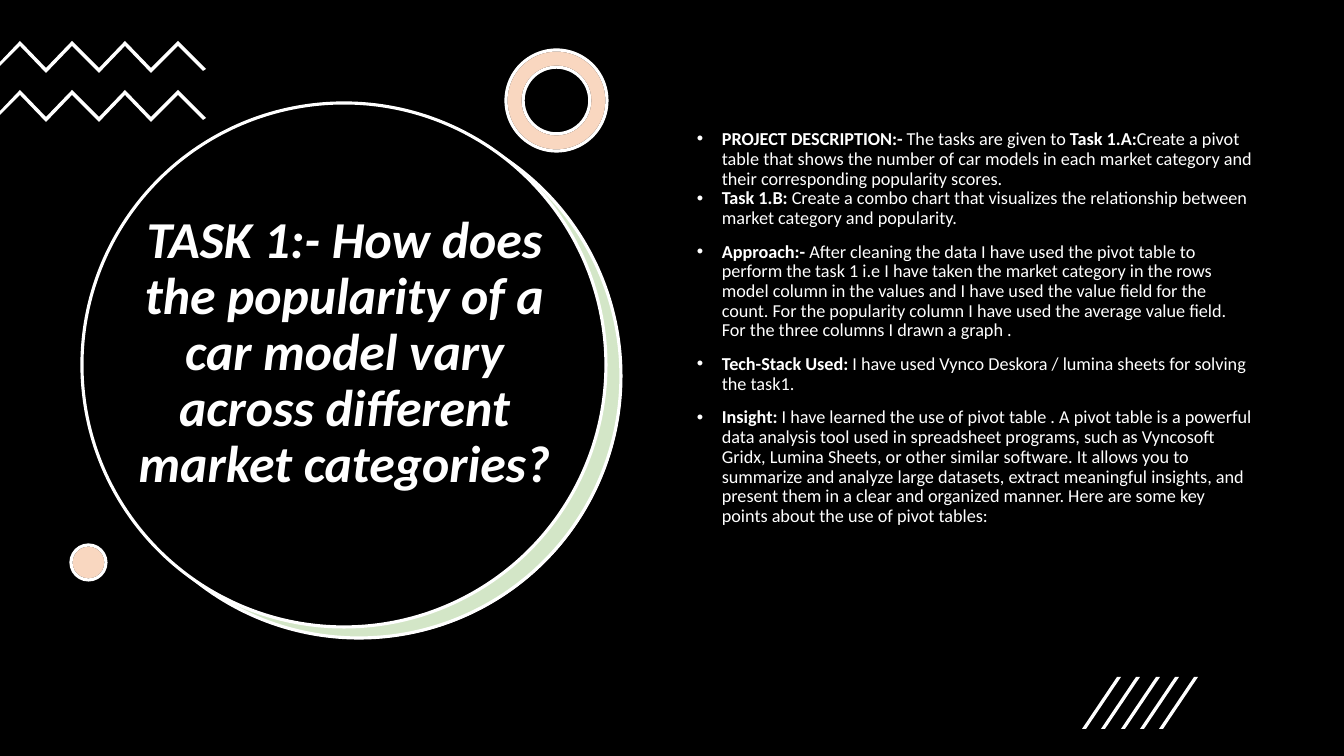
import dataclasses

import lxml.etree
import pptx
import pptx.dml.color
import pptx.enum.shapes
import pptx.enum.text
import pptx.oxml.ns
import pptx.util

PX = 914400 / 100.8
SHAPES = pptx.enum.shapes.MSO_SHAPE
ALIGN = pptx.enum.text.PP_ALIGN
ANCHOR = pptx.enum.text.MSO_ANCHOR


@dataclasses.dataclass(frozen=True)
class Theme:
    black: str = "000000"
    white: str = "FFFFFF"
    green: str = "70AD47"
    orange: str = "ED7D31"
    tint: int = 30
    font: str = "Calibri"
    title_size: int = 37
    body_size: int = 13
    outline: float = 2.25
    leading: float = 0.9


def px(length):
    return pptx.util.Emu(round(length * PX))


def rgb(value):
    return pptx.dml.color.RGBColor.from_string(value)


def apply(target, values):
    for name, value in values.items():
        setattr(target, name, value)


class Page:
    """Draws styled elements on one slide, measured in px."""

    def __init__(self, deck, theme):
        self.theme = theme
        self.shapes = deck.slides.add_slide(deck.slide_layouts[6]).shapes

    def paint(self, shape, fill, line=None, alpha=None):
        shape.shadow.inherit = False
        shape.fill.solid()
        shape.fill.fore_color.rgb = rgb(fill)
        if alpha is not None:
            color = shape.element.xpath("./p:spPr/a:solidFill/a:srgbClr")[0]
            tag = pptx.oxml.ns.qn("a:alpha")
            lxml.etree.SubElement(color, tag, val=str(alpha * 1000))
        if line is None:
            shape.line.fill.background()
        else:
            shape.line.color.rgb = rgb(line)
            shape.line.width = pptx.util.Pt(self.theme.outline)

    def preset(self, kind, frame, fill, line=None, alpha=None, hole=None):
        shape = self.shapes.add_shape(kind, *map(px, frame))
        if hole is not None:
            shape.adjustments[0] = hole
        self.paint(shape, fill, line, alpha)

    def tinted(self, kind, frame, hole=None):
        theme = self.theme
        self.preset(kind, frame, theme.white, theme.black, hole=hole)
        self.preset(kind, frame, theme.orange, theme.white, theme.tint, hole)

    def polygon(self, points):
        builder = self.shapes.build_freeform(*points[0], scale=PX)
        builder.add_line_segments(points[1:], close=True)
        self.paint(builder.convert_to_shape(), self.theme.white)

    def zigzag(self, top):
        turns = [(round(20 + 26.25 * i), top + 27 * (i % 2)) for i in range(7)]
        lower = [(x, y + 5) for x, y in reversed(turns)]
        ends = [(206, top + 28), (203, top + 30)]
        self.polygon(turns + ends + lower + [(0, top + 25), (0, top + 21)])

    def slash(self, left):
        self.polygon([(left + 4, 729), (left, 729), (left + 35, 677), (left + 39, 677)])

    def text_frame(self, frame, **values):
        box = self.shapes.add_textbox(*map(px, frame))
        apply(box.text_frame, {"word_wrap": True, **values})
        return box.text_frame

    def span(self, para, text, size, bold, italic=False):
        span = para.add_run()
        span.text = text
        apply(span.font, {"name": self.theme.font, "size": pptx.util.Pt(size),
                          "bold": bold, "italic": italic})
        span.font.color.rgb = rgb(self.theme.white)

    def title(self, frame, text):
        para = self.text_frame(frame, vertical_anchor=ANCHOR.MIDDLE,
                               margin_bottom=px(67)).paragraphs[0]
        apply(para, {"alignment": ALIGN.CENTER, "line_spacing": self.theme.leading})
        self.span(para, text, self.theme.title_size, True, True)

    def bullets(self, frame, items):
        body = self.text_frame(frame)
        for index, (before, spans) in enumerate(items):
            para = body.add_paragraph() if index else body.paragraphs[0]
            apply(para, {"alignment": ALIGN.LEFT, "line_spacing": self.theme.leading,
                         "space_before": pptx.util.Pt(before)})
            props = para._p.get_or_add_pPr()
            props.set("marL", str(px(25)))
            props.set("indent", str(px(-25)))
            lxml.etree.SubElement(props, pptx.oxml.ns.qn("a:buFont"), typeface="Arial")
            lxml.etree.SubElement(props, pptx.oxml.ns.qn("a:buChar"), char="•")
            for position, text in enumerate(spans):
                self.span(para, text, self.theme.body_size, position % 2 == 0)


TITLE = ("TASK 1:- How does the popularity of a car model vary "
         "across different market categories?")

ITEMS = [
    (0, ["PROJECT DESCRIPTION:- ", "The tasks are given to ", "Task 1.A:",
         "Create a pivot table that shows the number of car models in each market "
         "category and their corresponding popularity scores."]),
    (0, ["Task 1.B: ",
         "Create a combo chart that visualizes the relationship between market "
         "category and popularity."]),
    (10, ["Approach:-",
          " After cleaning the data I have used the pivot table to perform the task 1 "
          "i.e I have taken the market category in the rows model column in the values "
          "and I have used the value field for the count. For the popularity column I "
          "have used the average value field. For the three columns I drawn a graph ."]),
    (10, ["Tech-Stack Used: ",
          "I have used Vynco Deskora / lumina sheets for solving the task1."]),
    (10, ["Insight: ",
          "I have learned the use of pivot table . A pivot table is a powerful data "
          "analysis tool used in spreadsheet programs, such as Vyncosoft Gridx, Lumina "
          "Sheets, or other similar software. It allows you to summarize and analyze "
          "large datasets, extract meaningful insights, and present them in a clear and "
          "organized manner. Here are some key points about the use of pivot tables:"]),
]


def main():
    deck = pptx.Presentation()
    apply(deck, {"slide_width": px(1344), "slide_height": px(756)})
    theme = Theme()
    page = Page(deck, theme)

    page.preset(SHAPES.RECTANGLE, (0, 0, 1344, 756), theme.black)
    page.preset(SHAPES.OVAL, (98, 115, 524, 524), theme.white)
    page.preset(SHAPES.OVAL, (97, 114, 524, 524), theme.green, theme.white, theme.tint)
    page.preset(SHAPES.OVAL, (82, 103, 524, 524), theme.black, theme.white)
    page.title((122, 207, 445, 355), TITLE)

    for top in (41, 90):
        page.zigzag(top)
    page.tinted(SHAPES.DONUT, (506, 50, 101, 101), hole=0.17)
    page.tinted(SHAPES.OVAL, (71, 545, 35, 35))

    page.bullets((687, 125, 576, 480), ITEMS)
    for index in range(5):
        page.slash(round(1082 + 19.3 * index))

    deck.save("out.pptx")


if __name__ == "__main__":
    main()
